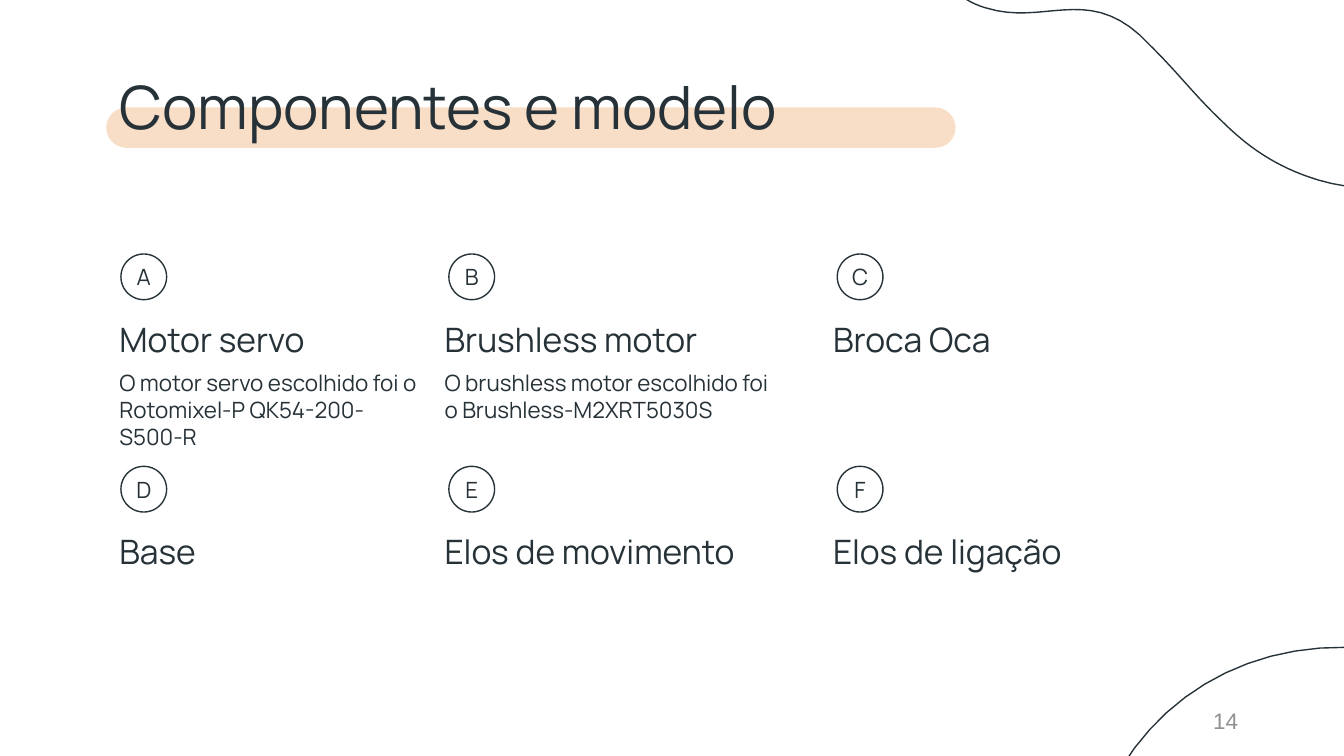
from pptx import Presentation
from pptx import util as u
from pptx.dml.color import RGBColor
from pptx.enum import shapes, text

PX = 9144
SLIDE_WIDTH, SLIDE_HEIGHT = u.Inches(10), u.Inches(5.625)
INK = RGBColor(0x26, 0x32, 0x38)
PEACH = RGBColor(0xF9, 0xDE, 0xC7)
WHITE = RGBColor(0xFF, 0xFF, 0xFF)
GREY = RGBColor(0x8E, 0x90, 0x91)

TOP_WAVE = [
    (12, 183),
    (18, 189, 27, 195, 38, 198), (80, 211, 112, 182, 152, 218),
    (156, 222, 159, 225, 163, 229), (181, 247, 195, 265, 212, 281),
    (231, 300, 252, 316, 285, 326), (339, 342, 375, 321, 401, 281),
    (446, 212, 424, 136, 367, 79), (343, 55, 312, 34, 278, 19),
    (171, -29, 66, 4, 15, 90), (0, 116, -13, 158, 12, 183),
]
BOTTOM_WAVE = [
    (15, 199),
    (21, 205, 30, 210, 41, 212), (84, 222, 114, 191, 156, 223),
    (160, 226, 165, 230, 168, 233), (188, 249, 203, 266, 221, 281),
    (241, 299, 264, 313, 297, 320), (353, 332, 387, 308, 410, 266),
    (450, 194, 421, 120, 360, 67), (334, 45, 302, 27, 267, 15),
    (156, -25, 54, 16, 10, 106), (-3, 134, -12, 177, 15, 199),
]
COLUMNS = [(79, 246, 11), (321, 270, 13), (610, 237, 13)]
ROWS = [189, 347]
COMPONENTS = [
    ("A", "Motor servo", "O motor servo escolhido foi o Rotomixel-P QK54-200-S500-R"),
    ("B", "Brushless motor", "O brushless motor escolhido foi o Brushless-M2XRT5030S"),
    ("C", "Broca Oca", None),
    ("D", "Base", None),
    ("E", "Elos de movimento", None),
    ("F", "Elos de ligação", None),
]


def px(*lengths):
    return [round(length * PX) for length in lengths]


def write(shape, words, size=12, font="Manrope", color=INK, inset=10,
          align=text.PP_ALIGN.LEFT, anchor=text.MSO_ANCHOR.TOP):
    frame = shape.text_frame
    frame.word_wrap = True
    frame.vertical_anchor = anchor
    frame.margin_left = frame.margin_right = inset * PX
    frame.margin_top = frame.margin_bottom = inset * PX
    paragraph = frame.paragraphs[0]
    paragraph.alignment = align
    run = paragraph.add_run()
    run.text = words
    run.font.size = u.Pt(size)
    run.font.name = font
    run.font.color.rgb = color


def label(slide, box, words, **style):
    write(slide.shapes.add_textbox(*px(*box)), words, **style)


def outline(shape):
    shape.shadow.inherit = False
    shape.line.color.rgb = INK
    shape.line.width = u.Pt(0.75)


def bezier(start, curve, steps=16):
    controls = [start, curve[:2], curve[2:4], curve[4:]]
    for step in range(1, steps + 1):
        t = step / steps
        weights = [(1 - t) ** 3, 3 * t * (1 - t) ** 2, 3 * t * t * (1 - t), t ** 3]
        yield px(*(sum(w * c[axis] for w, c in zip(weights, controls)) for axis in (0, 1)))


def wave(slide, left, top, contour):
    start, *curves = contour
    builder = slide.shapes.build_freeform(*px(*start), scale=1.0)
    for curve in curves:
        builder.add_line_segments(bezier(start, curve), close=False)
        start = curve[4:]
    builder.add_line_segments([], close=True)
    blob = builder.convert_to_shape(*px(left, top))
    blob.fill.background()
    outline(blob)


def heading(slide, left, top, width, height):
    bar = slide.shapes.add_shape(shapes.MSO_SHAPE.ROUNDED_RECTANGLE,
                                 *px(left, top + 38, 632, 30))
    bar.adjustments[0] = 0.5
    bar.shadow.inherit = False
    bar.fill.solid()
    bar.fill.fore_color.rgb = PEACH
    bar.line.fill.background()
    label(slide, (left, top, width, height), "Componentes e modelo", size=32)


def component(slide, left, top, width, indent, letter, name, detail):
    badge = slide.shapes.add_shape(shapes.MSO_SHAPE.OVAL,
                                   *px(left + indent, top, 34, 34))
    badge.fill.solid()
    badge.fill.fore_color.rgb = WHITE
    outline(badge)
    write(badge, letter, inset=0, align=text.PP_ALIGN.CENTER,
          anchor=text.MSO_ANCHOR.MIDDLE)
    label(slide, (left, top + 38, width, 41), name, size=18)
    if detail:
        label(slide, (left, top + 76, width, 67), detail)


def main():
    deck = Presentation()
    deck.slide_width, deck.slide_height = SLIDE_WIDTH, SLIDE_HEIGHT
    slide = deck.slides.add_slide(deck.slide_layouts[6])
    wave(slide, 696, -192, TOP_WAVE)
    wave(slide, 815, 482, BOTTOM_WAVE)
    heading(slide, 79, 42, 843, 67)
    for index, parts in enumerate(COMPONENTS):
        row, column = divmod(index, len(COLUMNS))
        left, width, indent = COLUMNS[column]
        component(slide, left, ROWS[row], width, indent, *parts)
    label(slide, (706, 521, 225, 30), "14", font="Arial", color=GREY,
          align=text.PP_ALIGN.RIGHT, anchor=text.MSO_ANCHOR.MIDDLE)
    deck.save("out.pptx")


if __name__ == "__main__":
    main()
